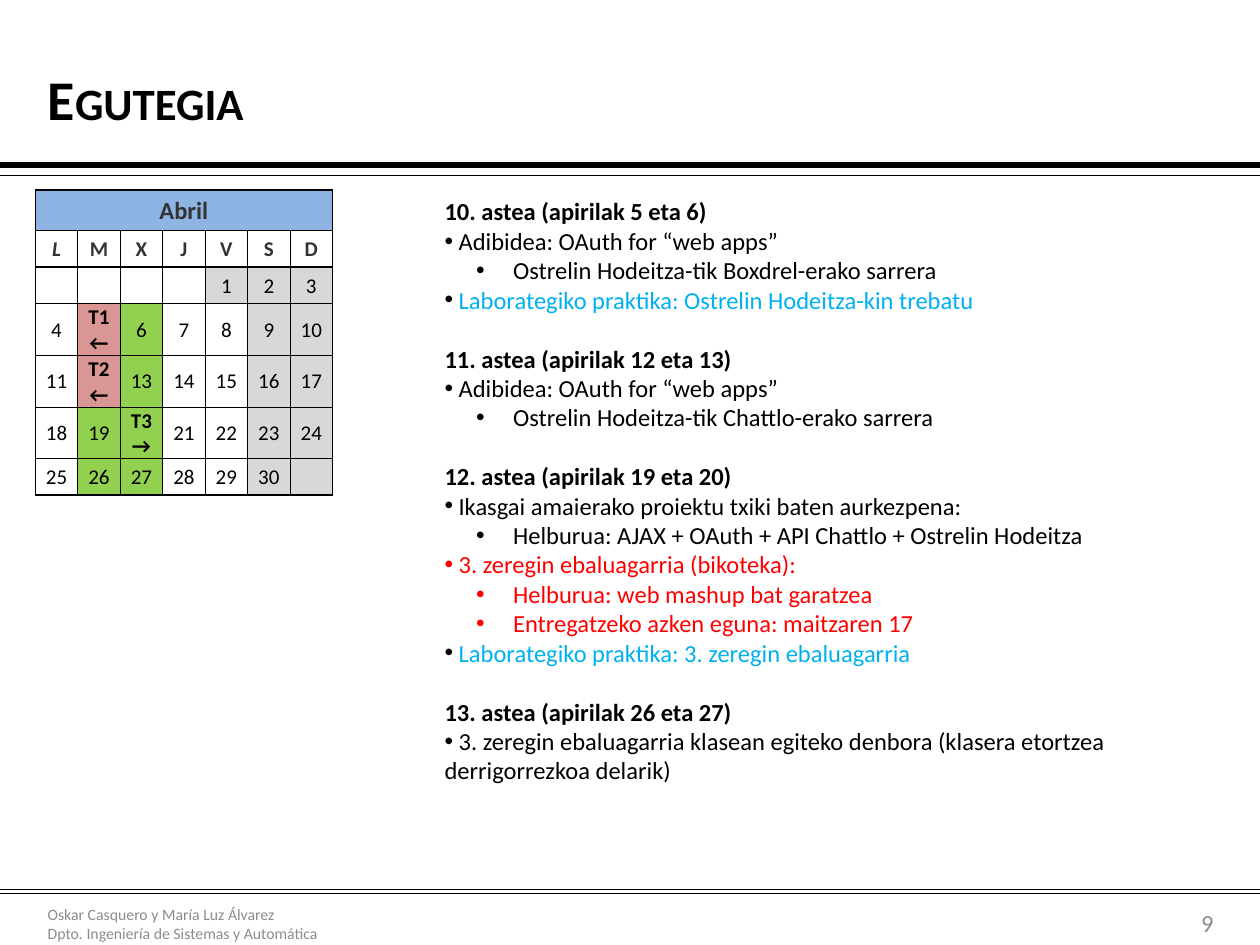
from lxml.etree import SubElement
from pptx import Presentation
from pptx.dml.color import RGBColor
from pptx.enum.shapes import MSO_CONNECTOR
from pptx.enum.text import MSO_ANCHOR, MSO_AUTO_SIZE, PP_ALIGN
from pptx.oxml.ns import qn
from pptx.util import Inches, Pt

FONT = "Calibri"
BLACK = RGBColor(0x00, 0x00, 0x00)
WHITE = RGBColor(0xFF, 0xFF, 0xFF)
DARK = RGBColor(0x33, 0x33, 0x33)
GRAY = RGBColor(0x8C, 0x8C, 0x8C)
RED = RGBColor(0xFF, 0x00, 0x00)
SKY = RGBColor(0x00, 0xB0, 0xF0)
MONTH_BLUE = RGBColor(0x8D, 0xB4, 0xE3)
WEEKEND_GRAY = RGBColor(0xD8, 0xD8, 0xD8)
CLASS_GREEN = RGBColor(0x92, 0xD0, 0x50)
TASK_PINK = RGBColor(0xD9, 0x96, 0x94)

RULES = [(1.31, 3), (1.39, 0.25), (7.06, 0.25), (7.09, 0.25)]

CALENDAR = [
    ["Abril", "", "", "", "", "", ""],
    ["L", "M", "X", "J", "V", "S", "D"],
    ["", "", "", "", "1", "2", "3"],
    ["4", "T1\n←", "6", "7", "8", "9", "10"],
    ["11", "T2\n←", "13", "14", "15", "16", "17"],
    ["18", "19", "T3\n→", "21", "22", "23", "24"],
    ["25", "26", "27", "28", "29", "30", ""],
]
PINK_DAYS = {"T1\n←", "T2\n←"}
GREEN_DAYS = {"6", "13", "19", "T3\n→", "26", "27"}
GRAY_DAYS = {"1"}

HEADING, ITEM, SUBITEM = range(3)
SCHEDULE = [
    (HEADING, "10. astea (apirilak 5 eta 6)", BLACK),
    (ITEM, "Adibidea: OAuth for “web apps”", BLACK),
    (SUBITEM, "Ostrelin Hodeitza-tik Boxdrel-erako sarrera", BLACK),
    (ITEM, "Laborategiko praktika: Ostrelin Hodeitza-kin trebatu", SKY),
    (HEADING, "11. astea (apirilak 12 eta 13)", BLACK),
    (ITEM, "Adibidea: OAuth for “web apps”", BLACK),
    (SUBITEM, "Ostrelin Hodeitza-tik Chattlo-erako sarrera", BLACK),
    (HEADING, "12. astea (apirilak 19 eta 20)", BLACK),
    (ITEM, "Ikasgai amaierako proiektu txiki baten aurkezpena:", BLACK),
    (SUBITEM, "Helburua: AJAX + OAuth + API Chattlo + Ostrelin Hodeitza", BLACK),
    (ITEM, "3. zeregin ebaluagarria (bikoteka):", RED),
    (SUBITEM, "Helburua: web mashup bat garatzea", RED),
    (SUBITEM, "Entregatzeko azken eguna: maitzaren 17", RED),
    (ITEM, "Laborategiko praktika: 3. zeregin ebaluagarria", SKY),
    (HEADING, "13. astea (apirilak 26 eta 27)", BLACK),
    (ITEM, "3. zeregin ebaluagarria klasean egiteko denbora "
           "(klasera etortzea derrigorrezkoa delarik)", BLACK),
]


def style_span(span, size, color, bold=False, italic=False):
    font = span.font
    font.name, font.size = FONT, Pt(size)
    font.bold, font.italic = bold, italic
    font.color.rgb = color


def add_rule(page, top, width):
    rule = page.shapes.add_connector(
        MSO_CONNECTOR.STRAIGHT, 0, Inches(top), Inches(10), Inches(top))
    rule.line.color.rgb = BLACK
    rule.line.width = Pt(width)
    SubElement(rule._element.spPr, qn("a:effectLst"))


def add_text(page, left, top, width, height, text, size, color,
             bold=False, align=PP_ALIGN.LEFT, anchor=MSO_ANCHOR.MIDDLE):
    box = page.shapes.add_textbox(
        Inches(left), Inches(top), Inches(width), Inches(height))
    frame = box.text_frame
    frame.word_wrap = True
    frame.vertical_anchor = anchor
    frame.text = text
    for para in frame.paragraphs:
        para.alignment = align
        for span in para.runs:
            style_span(span, size, color, bold)
    return frame


def add_bullet(para, margin, indent):
    properties = para._p.get_or_add_pPr()
    properties.set("marL", str(Inches(margin)))
    properties.set("indent", str(Inches(indent)))
    SubElement(properties, qn("a:buFont"), typeface="Arial")
    SubElement(properties, qn("a:buChar"), char="•")


def add_schedule(page):
    lines = [text if kind == HEADING else " " + text
             for kind, text, _ in SCHEDULE]
    frame = add_text(page, 3.43, 1.51, 6.46, 4.81, "\n".join(lines), 14, BLACK,
                     anchor=MSO_ANCHOR.TOP)
    frame.auto_size = MSO_AUTO_SIZE.SHAPE_TO_FIT_TEXT
    for number, (para, (kind, text, color)) in enumerate(
            zip(frame.paragraphs, SCHEDULE)):
        if kind == HEADING:
            para.runs[0].font.bold = True
            para.space_before = Pt(16.8 if number else 0)
        elif kind == SUBITEM:
            para.level = 1
            add_bullet(para, 0.5, -0.25)
        else:
            add_bullet(para, 0, 0)
        if color == SKY:
            para.runs[0].text = " "
            span = para.add_run()
            span.text = text
            style_span(span, 14, SKY)
        else:
            para.runs[0].font.color.rgb = color


def cell_fill(row, column, text):
    if row == 0:
        return MONTH_BLUE
    if text in PINK_DAYS:
        return TASK_PINK
    if text in GREEN_DAYS:
        return CLASS_GREEN
    if text in GRAY_DAYS or (row > 1 and column > 4):
        return WEEKEND_GRAY
    return WHITE


def set_borders(cell, row, column):
    thick = {
        "a:lnL": row == 0 or column == 0,
        "a:lnR": row == 0 or column == 6,
        "a:lnT": row <= 2,
        "a:lnB": row in (0, 1, 6),
    }
    properties = cell._tc.get_or_add_tcPr()
    for tag, is_thick in thick.items():
        line = SubElement(properties, qn(tag), w=str(Pt(1 if is_thick else 0.5)))
        fill = SubElement(line, qn("a:solidFill"))
        SubElement(fill, qn("a:srgbClr"), val=str(BLACK))


def fill_cell(cell, row, column, text):
    set_borders(cell, row, column)
    cell.fill.solid()
    cell.fill.fore_color.rgb = cell_fill(row, column, text)
    cell.margin_left = cell.margin_right = cell.margin_top = Inches(0.01)
    cell.margin_bottom = 0
    cell.vertical_anchor = MSO_ANCHOR.MIDDLE
    cell.text_frame.text = text
    for para in cell.text_frame.paragraphs:
        para.alignment = PP_ALIGN.CENTER
        for span in para.runs:
            style_span(span, 14 if row == 0 else 12, DARK if row < 2 else BLACK,
                       bold=row < 2 or text.startswith("T"), italic=text == "L")
        if not text:
            SubElement(para._p, qn("a:endParaRPr"), sz="1200")


def add_calendar(page):
    table = page.shapes.add_table(
        7, 7, Inches(0.28), Inches(1.51), Inches(2.36), Inches(2.06)).table
    table.first_row = table.horz_banding = False
    for column in table.columns:
        column.width = Inches(2.36 / 7)
    for number, row in enumerate(table.rows):
        row.height = Inches(0.29 if number else 0.32)
    for row, texts in enumerate(CALENDAR):
        for column, text in enumerate(texts):
            fill_cell(table.cell(row, column), row, column, text)
    table.cell(0, 0).merge(table.cell(0, 6))


def main():
    deck = Presentation()
    deck.slide_width, deck.slide_height = Inches(10), Inches(7.5)
    page = deck.slides.add_slide(deck.slide_layouts[6])
    for top, width in RULES:
        add_rule(page, top, width)
    add_text(page, 0.28, 7.13, 3.7, 0.4,
             "Oskar Casquero y María Luz Álvarez\n"
             "Dpto. Ingeniería de Sistemas y Automática", 9, GRAY)
    title = add_text(page, 0.28, 0.29, 9.45, 0.98, "Egutegia", 32, BLACK, bold=True)
    title.paragraphs[0].runs[0].font._element.set("cap", "small")
    add_text(page, 8.94, 7.18, 0.79, 0.28, "9", 14, GRAY, align=PP_ALIGN.RIGHT)
    add_schedule(page)
    add_calendar(page)
    deck.save("out.pptx")


main()
